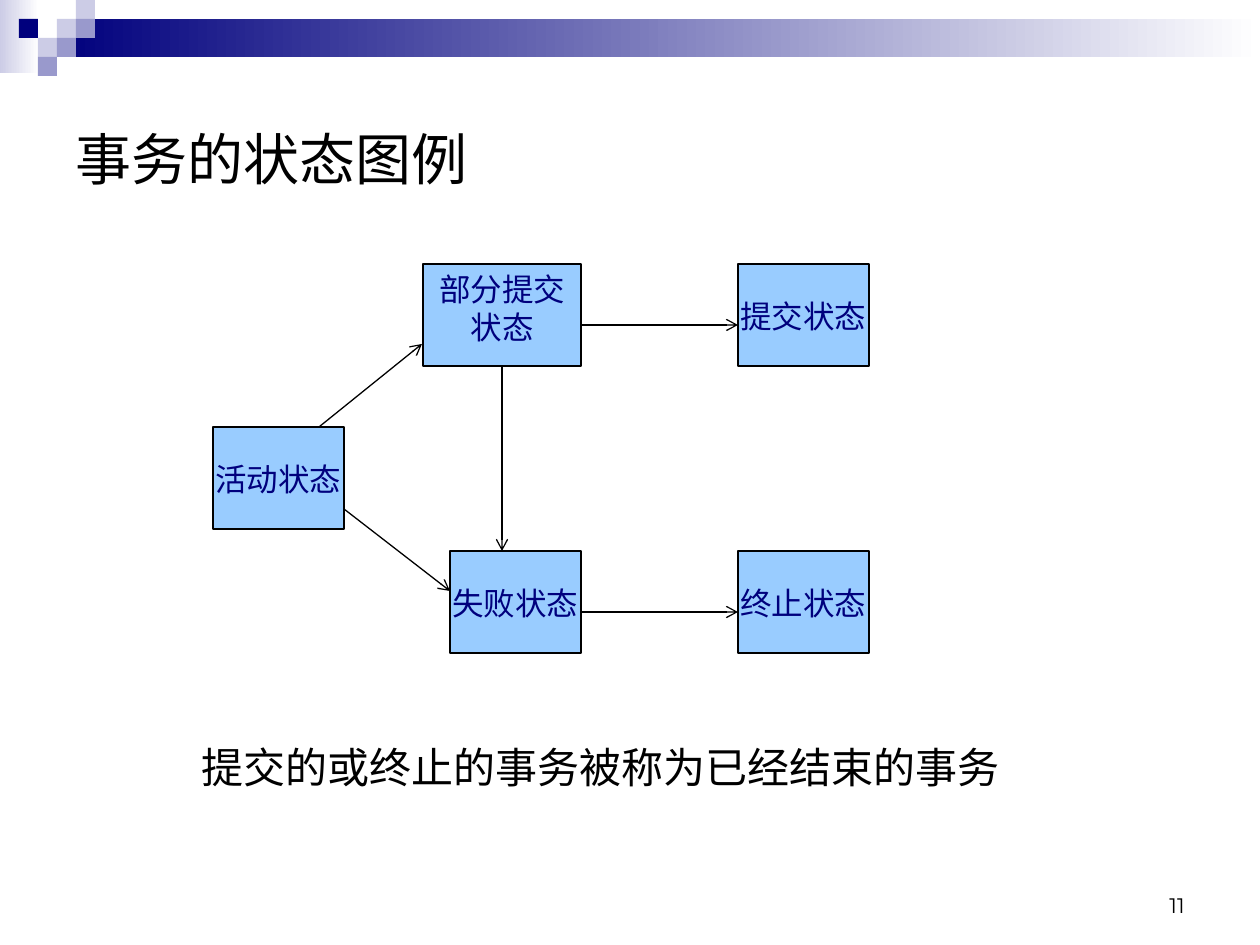
from lxml.etree import SubElement
from pptx import Presentation
from pptx.dml.color import RGBColor
from pptx.enum.shapes import MSO_CONNECTOR as Link, MSO_SHAPE as Kind
from pptx.enum.text import MSO_ANCHOR as Anchor, PP_ALIGN as Align
from pptx.oxml.ns import qn
from pptx.util import Emu, Pt

SCALE = 914400 / 126
CELL = 19
NAVY, LILAC, PALE = "00007D", "9999CC", "CCCCE6"
SKY, BLACK, WHITE = "99CCFF", "000000", "FFFFFF"


def px(*nums):
    return [Emu(round(n * SCALE)) for n in nums]


def tint(code):
    return RGBColor.from_string(code)


def block(slide, box, fill, fade=None):
    shape = slide.shapes.add_shape(Kind.RECTANGLE, *px(*box))
    shape.shadow.inherit = False
    shape.line.fill.background()
    if fade:
        shape.fill.gradient()
        shape.fill.gradient_angle = 0
        for stop, code in zip(shape.fill.gradient_stops, (fill, fade)):
            stop.color.rgb = tint(code)
    else:
        shape.fill.solid()
        shape.fill.fore_color.rgb = tint(fill)
    return shape


def write(shape, text, size, font, color=BLACK, align=Align.LEFT,
          anchor=Anchor.TOP, wrap=True, before=0, lead=None):
    frame = shape.text_frame
    frame.text = text
    frame.word_wrap = wrap
    frame.vertical_anchor = anchor
    for para in frame.paragraphs:
        para.alignment = align
        para.space_before = Pt(before)
        para.line_spacing = lead
        for run in para.runs:
            run.font.size = Pt(size)
            run.font.name = font
            run.font.color.rgb = tint(color)


def label(slide, box, text, size, font, **style):
    write(slide.shapes.add_textbox(*px(*box)), text, size, font, **style)


def state(slide, box, text, **style):
    shape = block(slide, box, SKY)
    shape.line.color.rgb = tint(BLACK)
    shape.line.width = Pt(0.75)
    write(shape, text, 18, "Times New Roman", color=NAVY,
          align=Align.CENTER, wrap=False, **style)
    return shape


def arrow(slide, *ends):
    line = slide.shapes.add_connector(Link.STRAIGHT, *px(*ends))
    line.line.color.rgb = tint(BLACK)
    line.line.width = Pt(0.75)
    SubElement(line.line._get_or_add_ln(), qn("a:tailEnd"), type="arrow")
    SubElement(line._element.spPr, qn("a:effectLst"))
    return line


def banner(slide):
    block(slide, (0, 0, 39, 73), PALE, WHITE)
    block(slide, (57, CELL, 1203, 2 * CELL), NAVY, WHITE)
    tiles = [(3, 1, PALE), (4, 0, PALE), (4, 1, LILAC), (2, 2, PALE),
             (1, 1, NAVY), (3, 2, LILAC), (2, 3, LILAC)]
    for col, row, fill in tiles:
        block(slide, (col * CELL, row * CELL, CELL, CELL), fill)


def chart(slide):
    wide, high = 131, 102
    left, mid, right = 213, 450, 738
    top, low = 264, 551
    part = state(slide, (423, top, 158, high), "部分提交\n状态")
    for x, y, text in [(right, top, "提交状态"), (left, 427, "活动状态"),
                       (mid, low, "失败状态"), (right, low, "终止状态")]:
        state(slide, (x, y, wide, high), text, before=11.2, lead=1.7)
    arrow(slide, 319, 427, 422, 344)
    arrow(slide, 502, top + high, 502, low).begin_connect(part, 2)
    arrow(slide, left + wide, 509, mid, 591)
    for y in (top, low):
        arrow(slide, mid + wide, y + 61, right, y + 61)


def main():
    deck = Presentation()
    deck.slide_width, deck.slide_height = px(1260, 945)
    slide = deck.slides.add_slide(deck.slide_layouts[6])
    banner(slide)
    label(slide, (903, 861, 294, 63), "11", 12, "Montserrat",
          align=Align.RIGHT, anchor=Anchor.BOTTOM)
    label(slide, (63, 86, 1134, 144), "事务的状态图例", 32, "Arial",
          anchor=Anchor.MIDDLE)
    chart(slide)
    label(slide, (189, 735, 892, 63), "提交的或终止的事务被称为已经结束的事务",
          24, "Arial", before=15)
    deck.save("out.pptx")


if __name__ == "__main__":
    main()
